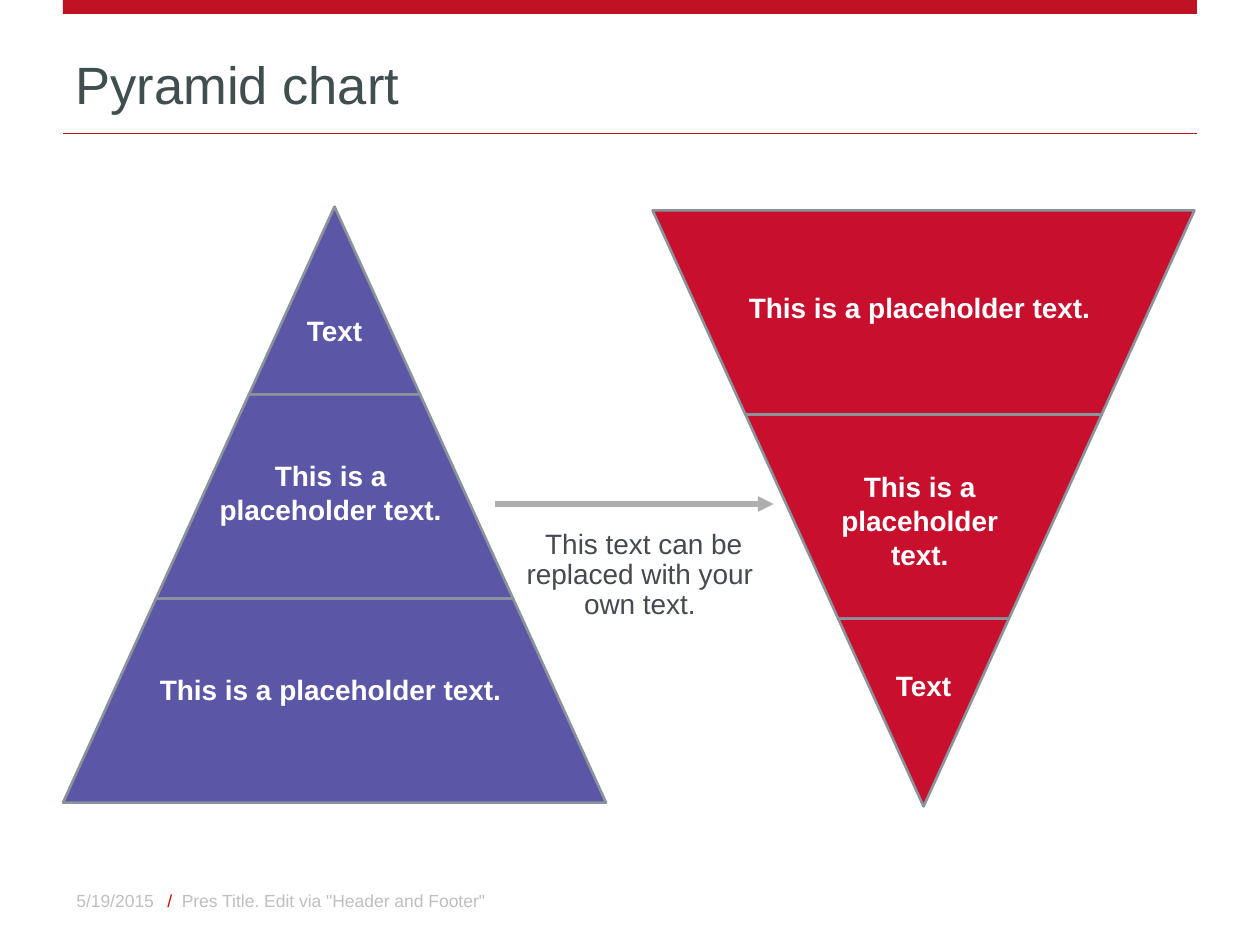
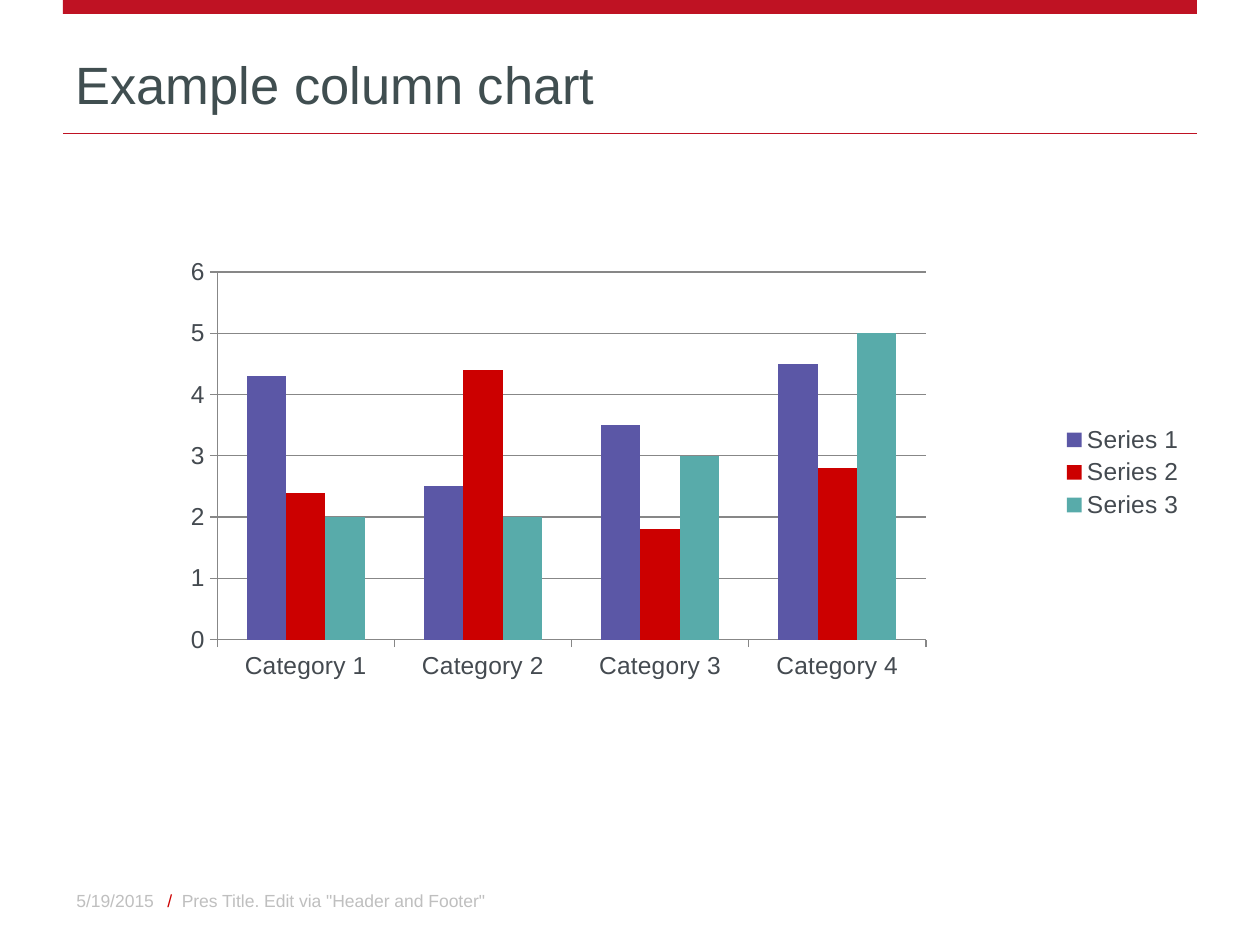
import pptx
import pptx.chart.data
import pptx.dml.color
import pptx.enum.chart
import pptx.enum.shapes
import pptx.enum.text
import pptx.oxml
import pptx.oxml.ns
import pptx.util
from pptx.util import Inches, Pt

FONT = "Arial"
BAND, SLASH, CRIMSON = "BF1223", "CC0000", "C8102E"
PURPLE, TEAL = "5B57A6", "58ABAA"
TITLE, BODY, FOOTER = "404E50", "444A50", "BFBFBF"
EDGE, ARROW, GRID, WHITE = "8A929B", "AEAEAE", "878787", "FFFFFF"
ALIGN = pptx.enum.text.PP_ALIGN
ANCHOR = pptx.enum.text.MSO_ANCHOR
SHAPE = pptx.enum.shapes.MSO_SHAPE


def rgb(value):
    return pptx.dml.color.RGBColor.from_string(value)


def set_font(font, size, color, bold=False):
    font.name, font.size, font.bold = FONT, Pt(size), bold
    font.color.rgb = rgb(color)


def paint(sp, fill, line=None):
    sp.shadow.inherit = False
    sp.fill.solid()
    sp.fill.fore_color.rgb = rgb(fill)
    if line:
        sp.line.color.rgb = rgb(line)
        sp.line.width = Pt(1.5)
    else:
        sp.line.fill.background()


def add_line(s, x1, x2, y, color, width, arrow=False):
    """Horizontal line, with an optional arrowhead at its right end."""
    sp = s.shapes.add_connector(pptx.enum.shapes.MSO_CONNECTOR.STRAIGHT,
                                Inches(x1), Inches(y), Inches(x2), Inches(y))
    sp.line.color.rgb = rgb(color)
    sp.line.width = Pt(width)
    if arrow:
        ln = sp.line._get_or_add_ln()
        pptx.oxml.ns.qn("a:tailEnd")
        ln.append(pptx.oxml.parse_xml(
            f'<a:tailEnd {pptx.oxml.ns.nsdecls("a")} type="triangle"/>'))
    sp._element.spPr.append(pptx.oxml.parse_xml(
        f'<a:effectLst {pptx.oxml.ns.nsdecls("a")}/>'))


def add_text(s, box, runs, size, align=ALIGN.LEFT, anchor=ANCHOR.TOP,
             bold=False, inset=True):
    """Text box with one paragraph; runs are (text, colour) pairs."""
    tf = s.shapes.add_textbox(*map(Inches, box)).text_frame
    tf.word_wrap = True
    tf.vertical_anchor = anchor
    if not inset:
        tf.margin_left = tf.margin_right = tf.margin_top = tf.margin_bottom = 0
    p = tf.paragraphs[0]
    p.alignment = align
    for i, (text, color) in enumerate(runs):
        for j, part in enumerate(text.split("\n")):
            if j:
                p.add_line_break()
            r = p.add_run()
            r.text = part
            set_font(r.font, size, color, bold)
    return p


def add_base(prs, title):
    """Slide with the shared band, title, rule and footer."""
    s = prs.slides.add_slide(prs.slide_layouts[5])
    band = s.shapes.add_shape(SHAPE.RECTANGLE, Inches(0.5), 0,
                              Inches(9), Inches(0.11))
    paint(band, BAND)
    add_line(s, 0.5, 9.5, 1.06, BAND, 1)

    sp = s.shapes.title
    sp.left, sp.top, sp.width, sp.height = map(Inches, (0.5, 0.28, 9, 0.68))
    tf = sp.text_frame
    tf.text = title
    tf.auto_size = pptx.enum.text.MSO_AUTO_SIZE.NONE
    tf.vertical_anchor = ANCHOR.BOTTOM
    p = tf.paragraphs[0]
    p.alignment = ALIGN.LEFT
    set_font(p.font, 30, TITLE)

    add_text(s, (0.16, 6.95, 1.16, 0.4), [("5/19/2015", FOOTER)], 10,
             ALIGN.RIGHT, ANCHOR.MIDDLE)
    add_text(s, (1.23, 6.95, 3.17, 0.4),
             [("/ ", SLASH), (' Pres Title. Edit via "Header and Footer"', FOOTER)],
             10, anchor=ANCHOR.MIDDLE)
    return s


def add_pyramid(s, box, fill, labels, inverted=False):
    """Three tiers in a box; labels are (text, top offset, width, height)."""
    left, top, width, height = box
    center = left + width / 2
    depths = (1.49, 3.11, height)

    def level(depth):
        """Height on the slide and half width at a depth below the apex."""
        y = top + (height - depth if inverted else depth)
        return y, width / 2 * depth / height

    # Lower tiers
    for upper, lower in zip(depths, depths[1:]):
        (y1, half1), (y2, half2) = level(upper), level(lower)
        corners = [(center - half1, y1), (center + half1, y1),
                   (center + half2, y2), (center - half2, y2)]
        points = [(Inches(x), Inches(y)) for x, y in corners]
        fb = s.shapes.build_freeform(*points[0], scale=1.0)
        fb.add_line_segments(points[1:], close=True)
        paint(fb.convert_to_shape(), fill, EDGE)

    # Apex
    y, half = level(depths[0])
    apex = s.shapes.add_shape(
        SHAPE.ISOSCELES_TRIANGLE, Inches(center - half),
        Inches(y if inverted else top), Inches(2 * half), Inches(depths[0]))
    apex.rotation = 180 if inverted else 0
    paint(apex, fill, EDGE)

    # Labels
    for text, offset, w, h in labels:
        add_text(s, (center - w / 2, top + offset, w, h), [(text, WHITE)], 16,
                 ALIGN.CENTER, bold=True, inset=False)


def add_column_chart(s, box):
    cd = pptx.chart.data.CategoryChartData()
    cd.categories = [f"Category {i}" for i in range(1, 5)]
    series = [((4.3, 2.5, 3.5, 4.5), PURPLE),
              ((2.4, 4.4, 1.8, 2.8), SLASH),
              ((2, 2, 3, 5), TEAL)]
    for i, (values, _) in enumerate(series, 1):
        cd.add_series(f"Series {i}", values)
    chart = s.shapes.add_chart(pptx.enum.chart.XL_CHART_TYPE.COLUMN_CLUSTERED,
                               *map(Inches, box), cd).chart
    chart.has_title = False
    set_font(chart.font, 14, BODY)

    # Columns
    plot = chart.plots[0]
    plot.vary_by_categories = False
    plot.gap_width, plot.overlap = 150, 0
    for ser, (_, color) in zip(plot.series, series):
        ser.format.fill.solid()
        ser.format.fill.fore_color.rgb = rgb(color)

    # Axes
    axis = chart.value_axis
    axis.minimum_scale, axis.maximum_scale, axis.major_unit = 0, 6, 1
    axis.has_major_gridlines = True
    for ax in (axis, chart.category_axis):
        ax.major_tick_mark = pptx.enum.chart.XL_TICK_MARK.OUTSIDE
        ax.format.line.color.rgb = rgb(GRID)
    axis.major_gridlines.format.line.color.rgb = rgb(GRID)

    # Legend
    chart.has_legend = True
    chart.legend.position = pptx.enum.chart.XL_LEGEND_POSITION.RIGHT
    chart.legend.include_in_layout = False

    # Inner plot area, as fractions of the chart
    area = chart._chartSpace.chart.plotArea
    for old in area.findall(pptx.oxml.ns.qn("c:layout")):
        area.remove(old)
    sizes = "".join(f'<c:{key} val="{value}"/>' for key, value in
                    (("x", 0.136), ("y", 0.142), ("w", 0.625), ("h", 0.657)))
    area.insert(0, pptx.oxml.parse_xml(
        f'<c:layout {pptx.oxml.ns.nsdecls("c")}><c:manualLayout>'
        '<c:layoutTarget val="inner"/><c:xMode val="edge"/><c:yMode val="edge"/>'
        f'{sizes}</c:manualLayout></c:layout>'))


def pyramid_slide(prs):
    s = add_base(prs, "Pyramid chart")
    add_pyramid(s, (0.5, 1.64, 4.31, 4.73), PURPLE, [
        ("This is a placeholder text. ", 3.7, 2.82, 0.27),
        ("This is a \nplaceholder text. ", 2, 2.12, 0.54),
        ("Text", 0.85, 0.97, 0.27)])
    add_pyramid(s, (5.18, 1.67, 4.3, 4.73), CRIMSON, [
        ("Text", 3.64, 0.97, 0.27),
        ("This is a placeholder text. ", 0.64, 3.06, 0.27),
        ("This is a \nplaceholder \ntext. ", 2.06, 2.12, 0.81)], inverted=True)
    add_line(s, 3.93, 6.14, 4, ARROW, 3, arrow=True)
    p = add_text(s, (4.01, 4.16, 2.2, 0.83),
                 [("This text can be replaced with your \nown text. ", BODY)],
                 16, ALIGN.CENTER)
    p.line_spacing = 0.9


def chart_slide(prs):
    s = add_base(prs, "Example column chart")
    add_column_chart(s, (0.5, 1.53, 9, 4.44))


def main():
    prs = pptx.Presentation()
    prs.slide_width, prs.slide_height = Inches(10), Inches(7.5)
    pyramid_slide(prs)
    chart_slide(prs)
    prs.save("out.pptx")


if __name__ == "__main__":
    main()
